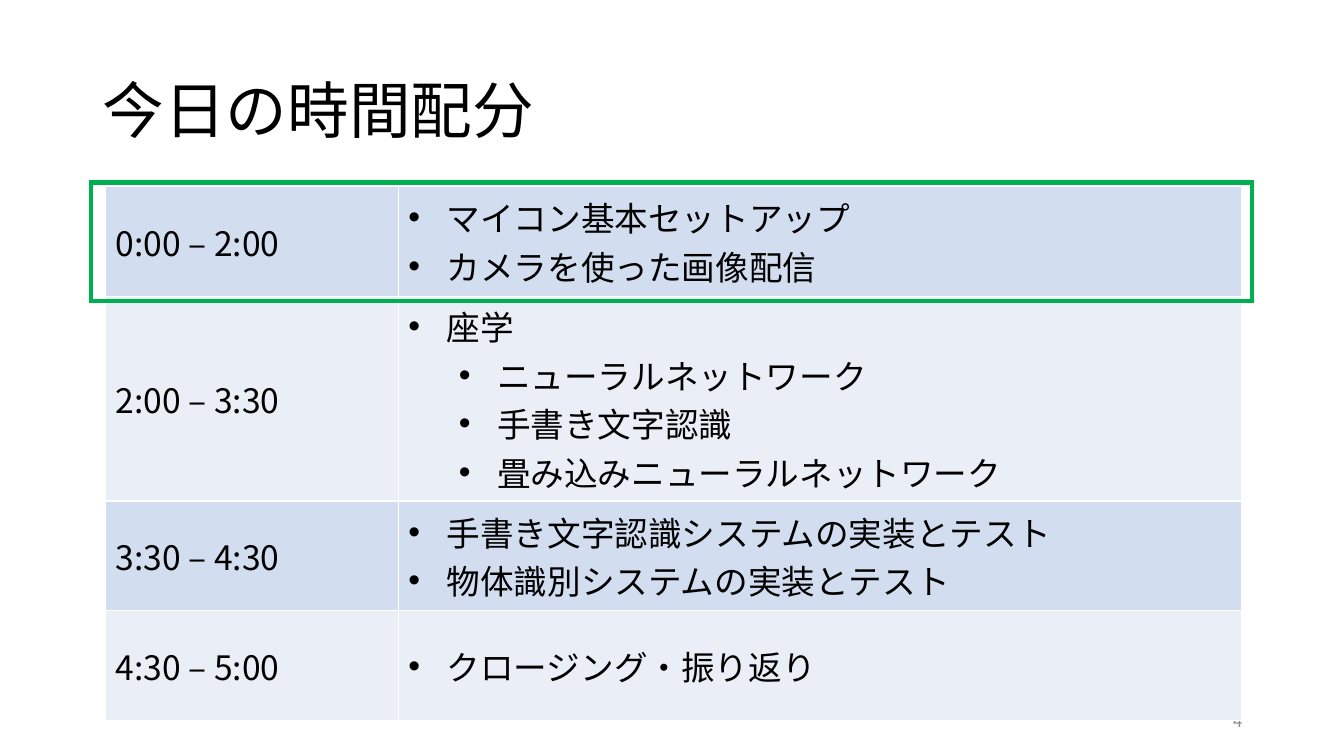
from lxml.etree import SubElement
from pptx import Presentation
from pptx.dml.color import RGBColor
from pptx.enum.shapes import MSO_SHAPE
from pptx.enum.text import MSO_ANCHOR, PP_ALIGN
from pptx.oxml import parse_xml
from pptx.oxml.ns import nsdecls, qn
from pptx.util import Inches, Pt

FONT = "Noto Sans CJK JP"
BLACK, GRAY, WHITE, GREEN = "000000", "8C8C8C", "FFFFFF", "00B050"
BANDS = ("D2DEEF", "EAEFF7")
COLUMN_WIDTHS = (2.9, 8.36)
SCHEDULE = [
    ("0:00 – 2:00", 1.09, [(0, "マイコン基本セットアップ"), (0, "カメラを使った画像配信")]),
    ("2:00 – 3:30", 2.03, [
        (0, "座学"),
        (1, "ニューラルネットワーク"),
        (1, "手書き文字認識"),
        (1, "畳み込みニューラルネットワーク"),
    ]),
    ("3:30 – 4:30", 1.09, [
        (0, "手書き文字認識システムの実装とテスト"),
        (0, "物体識別システムの実装とテスト"),
    ]),
    ("4:30 – 5:00", 1.09, [(0, "クロージング・振り返り")]),
]


def color(value):
    """Turn a hex string into a colour."""
    return RGBColor.from_string(value)


def apply_format(target, values):
    """Set every attribute in a dict of format values."""
    for name, value in values.items():
        setattr(target, name, value)


def write_span(para, text, size, ink=BLACK):
    """Add one run of text in the slide font."""
    span = para.add_run()
    span.text = text
    apply_format(span.font, {"name": FONT, "size": Pt(size)})
    span.font.color.rgb = color(ink)
    SubElement(span.font._element, qn("a:ea"), typeface=FONT)


def add_text(page, place, text, size, ink, layout):
    """Add a one-paragraph text box, centred vertically."""
    frame = page.shapes.add_textbox(*map(Inches, place)).text_frame
    apply_format(frame, {"word_wrap": True, "vertical_anchor": MSO_ANCHOR.MIDDLE})
    para = frame.paragraphs[0]
    apply_format(para, layout)
    write_span(para, text, size, ink)


def set_bullet(para, level):
    """Give a paragraph a bullet and the hanging indent of its level."""
    para.level = level
    properties = para._p.get_or_add_pPr()
    properties.set("marL", str(Inches(0.38 + 0.5 * level)))
    properties.set("indent", str(Inches(-0.38)))
    SubElement(properties, qn("a:buFont"), typeface="Arial")
    SubElement(properties, qn("a:buChar"), char="•")


def style_cell(cell, band):
    """Fill a cell and draw thin white borders around it."""
    cell.vertical_anchor = MSO_ANCHOR.MIDDLE
    cell.fill.solid()
    cell.fill.fore_color.rgb = color(band)
    properties = cell._tc.get_or_add_tcPr()
    for index, side in enumerate(("lnL", "lnR", "lnT", "lnB")):
        properties.insert(index, parse_xml(
            f'<a:{side} {nsdecls("a")} w="{Pt(1)}"><a:solidFill>'
            f'<a:srgbClr val="{WHITE}"/></a:solidFill></a:{side}>'))


def add_schedule(page, place):
    """Add the timetable with a bulleted list of topics per row."""
    table = page.shapes.add_table(len(SCHEDULE), 2, *map(Inches, place)).table
    apply_format(table, {"first_row": False, "horz_banding": False})
    for column, width in zip(table.columns, COLUMN_WIDTHS):
        column.width = Inches(width)
    for index, (time, height, topics) in enumerate(SCHEDULE):
        table.rows[index].height = Inches(height)
        time_cell, topic_cell = table.rows[index].cells
        for cell in (time_cell, topic_cell):
            style_cell(cell, BANDS[index % 2])
        write_span(time_cell.text_frame.paragraphs[0], time, 24)
        frame = topic_cell.text_frame
        for number, (level, topic) in enumerate(topics):
            para = frame.add_paragraph() if number else frame.paragraphs[0]
            set_bullet(para, level)
            write_span(para, topic, 24)


def add_highlight(page, place):
    """Outline the current part of the schedule with square corners."""
    box = page.shapes.add_shape(MSO_SHAPE.RECTANGLE, *map(Inches, place))
    box.shadow.inherit = False
    box.fill.background()
    box.line.color.rgb = color(GREEN)
    box.line.width = Pt(3)
    SubElement(box.line._get_or_add_ln(), qn("a:miter"), lim="800000")


def main():
    """Build the slide and save the deck."""
    deck = Presentation()
    apply_format(deck, {"slide_width": Inches(13.33), "slide_height": Inches(7.5)})
    page = deck.slides.add_slide(deck.slide_layouts[6])
    add_text(page, (0.92, 0.4, 11.5, 1.45), "今日の時間配分", 44, BLACK, {"line_spacing": 0.9})
    add_text(page, (9.42, 6.95, 3, 0.4), "4", 12, GRAY, {"alignment": PP_ALIGN.RIGHT})
    add_schedule(page, (1.05, 1.85, 11.26, 5.3))
    add_highlight(page, (0.9, 1.81, 11.52, 1.18))
    deck.save("out.pptx")


if __name__ == "__main__":
    main()
